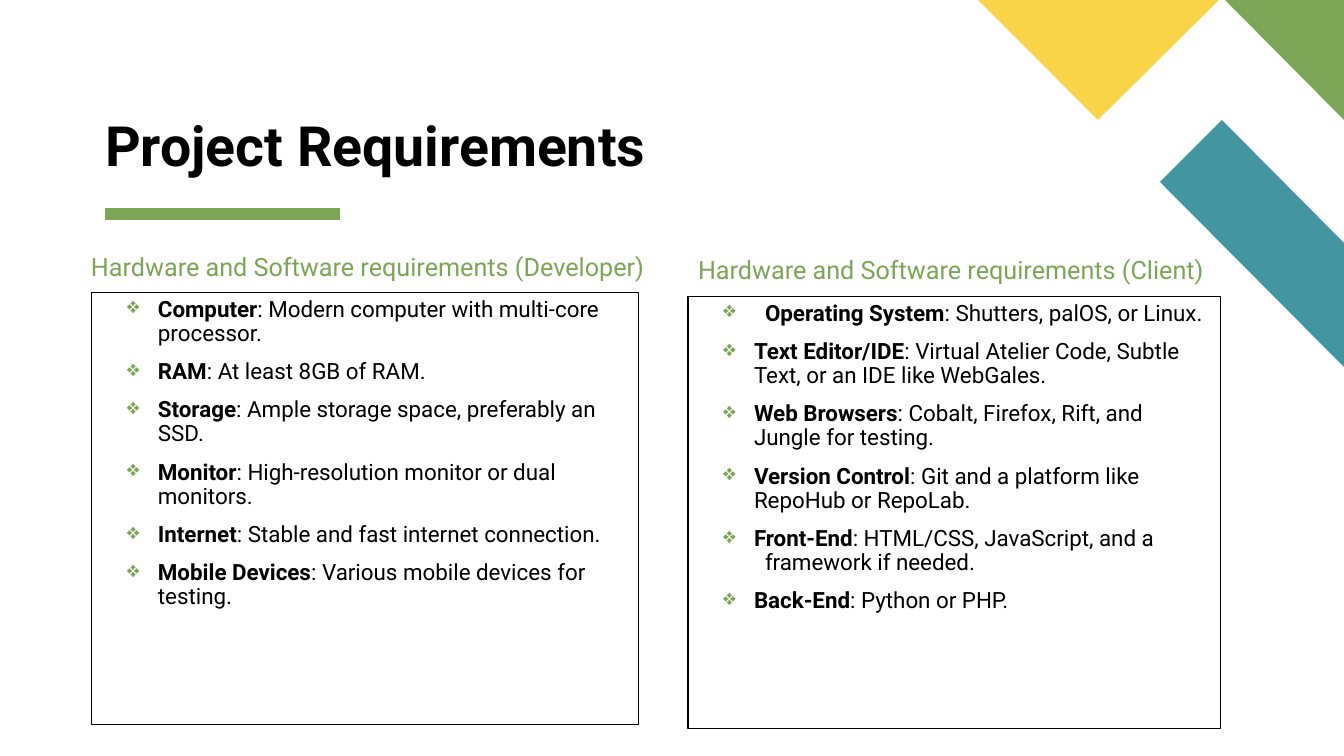
from lxml.etree import SubElement
from pptx import Presentation
from pptx.dml.color import RGBColor
from pptx.enum.shapes import MSO_CONNECTOR, MSO_SHAPE
from pptx.enum.text import MSO_ANCHOR, PP_ALIGN
from pptx.oxml.ns import qn
from pptx.util import Pt

PX = 914400 / 100.8
GREEN = RGBColor(0x7C, 0xA6, 0x55)
TEAL = RGBColor(0x44, 0x95, 0xA2)
YELLOW = RGBColor(0xF9, 0xD4, 0x48)
BLACK = RGBColor(0, 0, 0)


def px(n):
    return round(n * PX)


def write(shape, paras, size, color=BLACK, bold=False, pad=(10, 5),
          anchor=MSO_ANCHOR.TOP, gap=0, bullet=None, tabs=()):
    """Fill a shape; each paragraph is a (lead, rest) pair with a bold lead."""
    frame = shape.text_frame
    frame.word_wrap = True
    frame.vertical_anchor = anchor
    frame.margin_left = frame.margin_right = px(pad[0])
    frame.margin_top = frame.margin_bottom = px(pad[1])
    for i, (lead, rest) in enumerate(paras):
        para = frame.paragraphs[0] if i == 0 else frame.add_paragraph()
        para.alignment = PP_ALIGN.LEFT
        para.line_spacing = 0.9
        para.space_before = Pt(gap if i else 0)
        if bullet:
            props = para._p.get_or_add_pPr()
            props.set("marL", str(px(56)))
            props.set("indent", str(-px(31)))
            tint = SubElement(props, qn("a:buClr"))
            SubElement(tint, qn("a:srgbClr"), val=str(GREEN))
            SubElement(props, qn("a:buChar"), char=bullet)
            stops = SubElement(props, qn("a:tabLst"))
            for stop in tabs:
                SubElement(stops, qn("a:tab"), pos=str(px(stop)), algn="l")
        for text, heavy in ((lead, True), (rest, bold)):
            if not text:
                continue
            for j, part in enumerate(text.split("\n")):
                if j:
                    para.add_line_break()
                run = para.add_run()
                run.text = part
                run.font.name = "Roboto"
                run.font.size = Pt(size)
                run.font.bold = heavy
                run.font.color.rgb = color


deck = Presentation()
deck.slide_width, deck.slide_height = px(1344), px(756)
slide = deck.slides.add_slide(deck.slide_layouts[6])
shapes = slide.shapes

# Corner shapes
corner = [
    (TEAL, [(1344, 367), (1344, 243), (1222, 120), (1160, 182)]),
    (GREEN, [(1344, 120), (1344, 0), (1225, 0)]),
    (YELLOW, [(978, 0), (1098, 120), (1219, 0)]),
]
for color, points in corner:
    path = shapes.build_freeform(*points[0], scale=PX)
    path.add_line_segments(points[1:], close=True)
    form = path.convert_to_shape()
    form.shadow.inherit = False
    form.fill.solid()
    form.fill.fore_color.rgb = color
    form.line.fill.background()

# Title and its rule
title = shapes.add_textbox(px(105), px(132), px(637), px(47))
write(title, [("Project Requirements", "")], 39.6, pad=(0, 0),
      anchor=MSO_ANCHOR.BOTTOM)
rule = shapes.add_connector(MSO_CONNECTOR.STRAIGHT,
                            px(105), px(214), px(340), px(214))
rule.line.color.rgb = GREEN
rule.line.width = Pt(8)
SubElement(rule._element.spPr, qn("a:effectLst"))

# Two columns: heading box, list box, heading, items
columns = [
    ((81, 250, 603, 42), (92, 293, 547, 432),
     "Hardware and Software requirements (Developer)", [
         ("Computer", ": Modern computer with multi-core processor."),
         ("RAM", ": At least 8GB of RAM."),
         ("Storage", ": Ample storage space, preferably an SSD."),
         ("Monitor", ": High-resolution monitor or dual monitors."),
         ("Internet", ": Stable and fast internet connection."),
         ("Mobile Devices", ": Various mobile devices for testing."),
     ]),
    ((688, 253, 533, 44), (688, 297, 533, 432),
     "Hardware and Software requirements (Client)", [
         ("\tOperating System", ": Shutters, palOS, or Linux."),
         ("Text Editor/IDE", ": Virtual Atelier Code, Subtle Text, "
                             "or an IDE like WebGales."),
         ("Web Browsers", ": Cobalt, Firefox, Rift, and Jungle for testing."),
         ("Version Control", ": Git and a platform like RepoHub or RepoLab."),
         ("Front-End", ": HTML/CSS, JavaScript, and a\n\tframework if needed."),
         ("Back-End", ": Python or PHP."),
     ]),
]
for head, body, name, items in columns:
    label = shapes.add_textbox(*map(px, head))
    write(label, [("", name)], 18, color=GREEN)
    box = shapes.add_shape(MSO_SHAPE.RECTANGLE, *map(px, body))
    box.shadow.inherit = False
    box.fill.background()
    box.line.color.rgb = BLACK
    box.line.width = Pt(0.75)
    write(box, items, 16, gap=10, bullet="❖", tabs=(67, 100))

deck.save("out.pptx")
